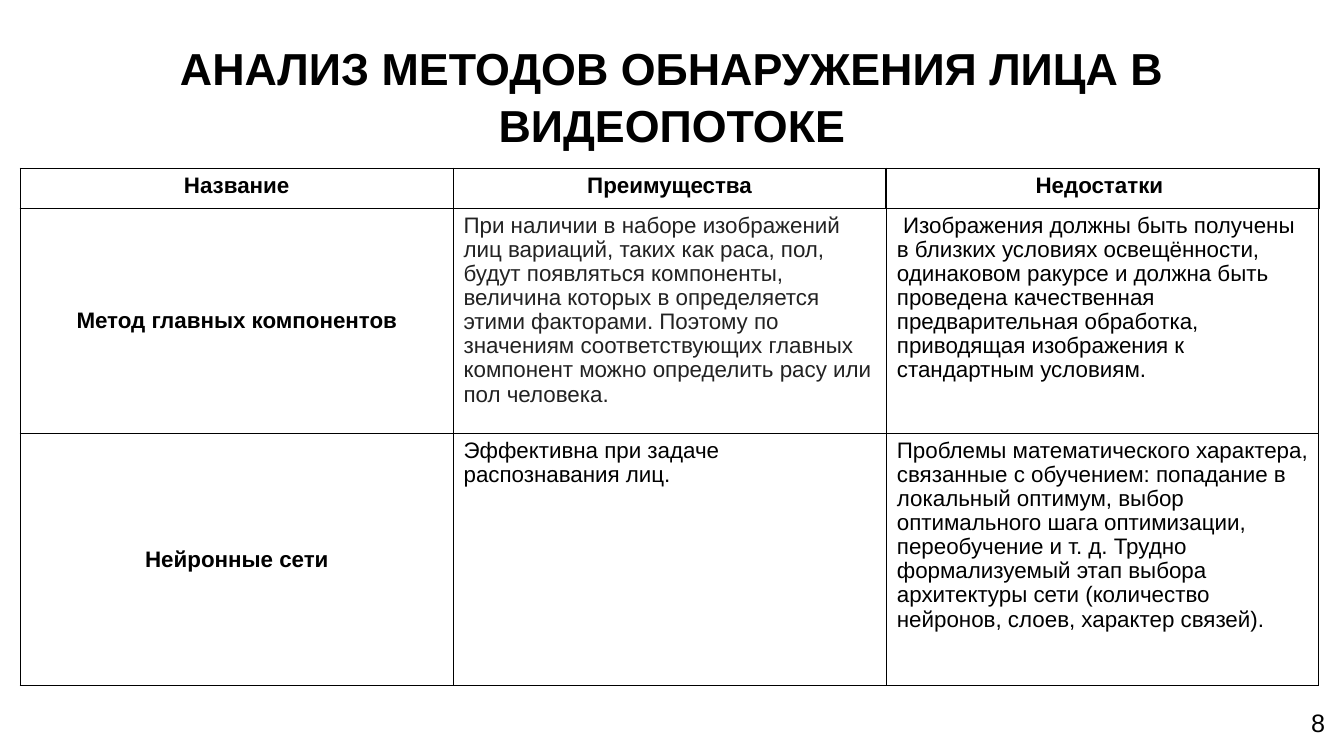
from lxml.etree import SubElement
from pptx import Presentation
from pptx.dml.color import RGBColor
from pptx.enum.text import MSO_ANCHOR, PP_ALIGN
from pptx.oxml.ns import qn
from pptx.util import Cm, Pt


def style(para, size, bold=False, color="000000", align=PP_ALIGN.LEFT):
    para.alignment = align
    font = para.font
    font.name = "Arial"
    font.size = Pt(size)
    font.bold = bold
    font.color.rgb = RGBColor.from_string(color)


def add_grid(top, widths, heights, rows):
    frame = slide.shapes.add_table(len(rows), len(widths), Cm(0.51), Cm(top),
                                   Cm(sum(widths)), Cm(sum(heights)))
    grid = frame.table
    grid.first_row = False
    grid.horz_banding = False
    for col, width in zip(grid.columns, widths):
        col.width = Cm(width)
    for row, height, texts in zip(grid.rows, heights, rows):
        row.height = Cm(height)
        for cell, text in zip(row.cells, texts):
            cell.text = text
            props = cell._tc.get_or_add_tcPr()
            for side in ("a:lnL", "a:lnR", "a:lnT", "a:lnB"):
                line = SubElement(props, qn(side), w=str(Pt(1)))
                fill = SubElement(line, qn("a:solidFill"))
                SubElement(fill, qn("a:srgbClr"), val="000000")
            cell.fill.background()
    return grid


deck = Presentation()
deck.slide_width = Cm(33.87)
deck.slide_height = Cm(19.05)
slide = deck.slides.add_slide(deck.slide_layouts[5])

title = slide.shapes.title
title.left, title.top, title.width, title.height = Cm(0), Cm(0.84), Cm(33.87), Cm(3)
title.text_frame.text = "АНАЛИЗ МЕТОДОВ ОБНАРУЖЕНИЯ ЛИЦА В ВИДЕОПОТОКЕ"
title.text_frame.vertical_anchor = MSO_ANCHOR.TOP
para = title.text_frame.paragraphs[0]
style(para, 32, True, align=PP_ALIGN.CENTER)
para.line_spacing = 1.05

methods = [
    ("Метод главных компонентов",
     "При наличии в наборе изображений лиц вариаций, таких как раса, пол, "
     "будут появляться компоненты, величина которых в определяется этими "
     "факторами. Поэтому по значениям соответствующих главных компонент "
     "можно определить расу или пол человека.",
     " Изображения должны быть получены в близких условиях освещённости, "
     "одинаковом ракурсе и должна быть проведена качественная "
     "предварительная обработка, приводящая изображения к стандартным "
     "условиям."),
    ("Нейронные сети",
     "Эффективна при задаче распознавания лиц.",
     "Проблемы математического характера, связанные с обучением: попадание "
     "в локальный оптимум, выбор оптимального шага оптимизации, "
     "переобучение и т. д. Трудно формализуемый этап выбора архитектуры "
     "сети (количество нейронов, слоев, характер связей)."),
]
body = add_grid(5.26, [10.92, 10.92, 10.88], [5.67, 6.35], methods)
for r, row in enumerate(body.rows):
    for c, cell in enumerate(row.cells):
        para = cell.text_frame.paragraphs[0]
        if c == 0:
            cell.vertical_anchor = MSO_ANCHOR.MIDDLE
            style(para, 16, True, align=PP_ALIGN.CENTER)
        else:
            style(para, 16, color="222222" if (r, c) == (0, 1) else "000000")
            para.line_spacing = 0.97

head = add_grid(4.24, [10.91] * 3, [1.02],
                [("Название", "Преимущества", "Недостатки ")])
for cell in head.iter_cells():
    style(cell.text_frame.paragraphs[0], 16, True, align=PP_ALIGN.CENTER)

page = slide.shapes.add_textbox(Cm(32.79), Cm(17.7), Cm(0.86), Cm(1.02))
page.text_frame.text = "8"
style(page.text_frame.paragraphs[0], 18)

deck.save("out.pptx")
